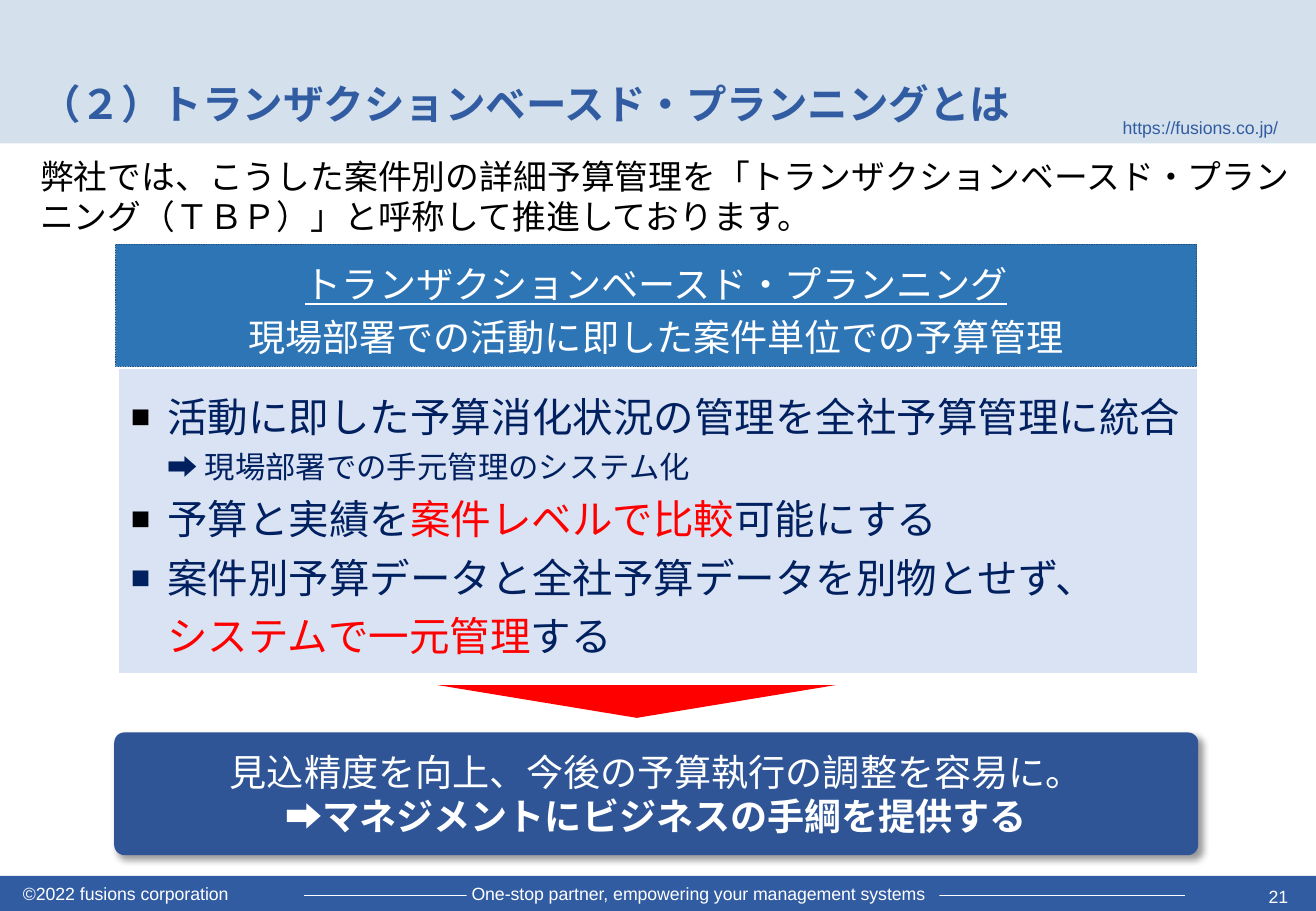
from lxml.etree import SubElement
from pptx import Presentation
from pptx.dml.color import RGBColor
from pptx.enum.dml import MSO_LINE
from pptx.enum.shapes import MSO_CONNECTOR, MSO_SHAPE
from pptx.enum.text import MSO_ANCHOR, MSO_AUTO_SIZE, PP_ALIGN
from pptx.oxml.ns import qn
from pptx.util import Pt

EMU_PER_PX = 9144  # 100 px to the inch

WHITE = RGBColor(0xFF, 0xFF, 0xFF)
BLACK = RGBColor(0x00, 0x00, 0x00)
RED = RGBColor(0xFF, 0x00, 0x00)
NAVY = RGBColor(0x00, 0x20, 0x60)
BRAND_BLUE = RGBColor(0x32, 0x5C, 0xA2)
PALE_BAND = RGBColor(0xD4, 0xE1, 0xEC)
HEADING_BLUE = RGBColor(0x2E, 0x75, 0xB6)
HEADING_EDGE = RGBColor(0x1F, 0x4E, 0x79)
PALE_PANEL = RGBColor(0xDA, 0xE3, 0xF3)
RESULT_BLUE = RGBColor(0x2F, 0x55, 0x97)

JAPANESE = "Noto Sans CJK JP"
INSETS = (10, 5, 10, 5)


def px(length):
    return length * EMU_PER_PX


class SlideBuilder:
    def __init__(self, width, height):
        self.deck = Presentation()
        self.deck.slide_width, self.deck.slide_height = px(width), px(height)
        self.slide = self.deck.slides.add_slide(self.deck.slide_layouts[1])

    def shape(self, kind, box, fill, corner=None):
        shape = self.slide.shapes.add_shape(kind, *map(px, box))
        shape.shadow.inherit = False
        shape.fill.solid()
        shape.fill.fore_color.rgb = fill
        shape.line.fill.background()
        if corner is not None:
            shape.adjustments[0] = corner
        return shape

    def rule(self, x1, y1, x2, y2, color, width):
        line = self.slide.shapes.add_connector(
            MSO_CONNECTOR.STRAIGHT, *map(px, (x1, y1, x2, y2)))
        line.line.color.rgb = color
        line.line.width = Pt(width)
        SubElement(line.element.spPr, qn("a:effectLst"))

    def frame(self, shape, anchor=MSO_ANCHOR.TOP, insets=INSETS, wrap=True):
        frame = shape.text_frame
        frame.auto_size = MSO_AUTO_SIZE.NONE
        frame.word_wrap = wrap
        frame.vertical_anchor = anchor
        (frame.margin_left, frame.margin_top,
         frame.margin_right, frame.margin_bottom) = map(px, insets)
        return frame

    def paragraph(self, frame, runs, align=PP_ALIGN.LEFT, spacing=None,
                  bullet=None):
        """Each run is (text, size, color, font, options)."""
        first = frame.paragraphs[0]
        paragraph = frame.add_paragraph() if first.runs else first
        paragraph.alignment = align
        paragraph.space_before = Pt(0)
        if spacing:
            paragraph.line_spacing = spacing
        if bullet:
            self.bullet(paragraph, bullet)
        for text, size, color, font, *options in runs:
            for index, part in enumerate(text.split("\n")):
                if index:
                    paragraph.add_line_break()
                if part:
                    run = paragraph.add_run()
                    run.text = part
                    run.font.size = Pt(size)
                    run.font.name = font
                    run.font.color.rgb = color
                    run.font.bold = "bold" in options
                    run.font.underline = "underline" in options
                    latin = run.font._element.find(qn("a:latin"))
                    east_asian = latin.makeelement(
                        qn("a:ea"), {"typeface": font})
                    latin.addnext(east_asian)

    def bullet(self, paragraph, color):
        props = paragraph._p.get_or_add_pPr()
        props.set("marL", str(px(30)))
        props.set("indent", str(px(-30)))
        tint = SubElement(props, qn("a:buClr"))
        SubElement(tint, qn("a:srgbClr"), val=str(color))
        SubElement(props, qn("a:buSzPct"), val="80000")
        SubElement(props, qn("a:buFont"), typeface="Arial")
        SubElement(props, qn("a:buChar"), char="■")

    def label(self, box, text, color, align=PP_ALIGN.LEFT,
              anchor=MSO_ANCHOR.TOP, insets=INSETS, wrap=False):
        area = self.slide.shapes.add_textbox(*map(px, box))
        frame = self.frame(area, anchor, insets, wrap)
        self.paragraph(frame, [(text, 10.5, color, "Arial")], align)

    def placeholder(self, index, box, anchor, run):
        holder = self.slide.placeholders[index]
        holder.left, holder.top, holder.width, holder.height = map(px, box)
        self.slide.shapes._spTree.append(holder.element)  # above the bands
        frame = self.frame(holder, anchor)
        self.paragraph(frame, [run])
        props = frame.paragraphs[0]._p.get_or_add_pPr()
        props.set("marL", "0")
        props.set("indent", "0")
        SubElement(props, qn("a:buNone"))

    def drop_shadow(self, shape):
        effects = shape.element.spPr.find(qn("a:effectLst"))
        shadow = SubElement(
            effects, qn("a:outerShdw"), blurRad=str(Pt(4)), dist=str(Pt(3)),
            dir="2700000", algn="tl", rotWithShape="0")
        color = SubElement(shadow, qn("a:srgbClr"), val=str(BLACK))
        SubElement(color, qn("a:alpha"), val="40000")


def main():
    page = SlideBuilder(1083, 750)

    # Header and footer bands
    page.shape(MSO_SHAPE.RECTANGLE, (0, 721, 1083, 29), BRAND_BLUE)
    page.shape(MSO_SHAPE.RECTANGLE, (0, 0, 1083, 118), PALE_BAND)
    page.rule(250, 737, 975, 737, WHITE, 0.5)
    page.label((921, 96, 134, 18), "https://fusions.co.jp/", BRAND_BLUE,
               PP_ALIGN.CENTER, MSO_ANCHOR.BOTTOM, (0, 0, 0, 0))
    slogan = page.shape(MSO_SHAPE.RECTANGLE, (384, 723, 389, 22), BRAND_BLUE)
    page.paragraph(
        page.frame(slogan, insets=(4, 4, 4, 0), wrap=False),
        [("One-stop partner, empowering your management systems",
          10.5, WHITE, "Arial")])
    page.label((9, 722, 199, 28), "©2022 fusions corporation", WHITE)
    page.label((991, 724, 79, 29), "21", WHITE, PP_ALIGN.RIGHT, wrap=True)

    # Title and introduction
    page.placeholder(
        0, (23, 2, 873, 108), MSO_ANCHOR.BOTTOM,
        ("（２）トランザクションベースド・プランニングとは",
         24, BRAND_BLUE, "Montserrat", "bold"))
    page.placeholder(
        1, (23, 123, 1054, 598), MSO_ANCHOR.TOP,
        ("弊社では、こうした案件別の詳細予算管理を「トランザクションベースド・"
         "プランニング（ＴＢＰ）」と呼称して推進しております。",
         20, BLACK, JAPANESE))

    # Definition heading
    definition = page.shape(
        MSO_SHAPE.RECTANGLE, (95, 201, 890, 101), HEADING_BLUE)
    definition.line.color.rgb = HEADING_EDGE
    definition.line.width = Pt(0.75)
    definition.line.dash_style = MSO_LINE.ROUND_DOT
    frame = page.frame(definition, MSO_ANCHOR.MIDDLE, (8, 4, 8, 4))
    for run in (
        ("トランザクションベースド・プランニング",
         22, WHITE, JAPANESE, "underline"),
        ("現場部署での活動に即した案件単位での予算管理", 22, WHITE, JAPANESE),
    ):
        page.paragraph(frame, [run], PP_ALIGN.CENTER, 1.2)

    # Key points
    points = page.shape(
        MSO_SHAPE.ROUNDED_RECTANGLE, (98, 304, 887, 250), PALE_PANEL, 0)
    frame = page.frame(points, MSO_ANCHOR.MIDDLE, (10, 12, 10, 12))
    for bullet, runs in (
        (BLACK, [("活動に即した予算消化状況の管理を全社予算管理に統合", 24, NAVY),
                 ("➡ 現場部署での手元管理のシステム化", 18, NAVY)]),
        (BLACK, [("予算と実績を", 24, NAVY),
                 ("案件レベルで比較", 24, RED),
                 ("可能にする", 24, NAVY)]),
        (NAVY, [("案件別予算データと全社予算データを別物とせず、\n", 24, NAVY),
                ("システムで一元管理", 24, RED),
                ("する", 24, NAVY)]),
    ):
        page.paragraph(frame, [(*run, JAPANESE) for run in runs],
                       spacing=1.2, bullet=bullet)

    # Result and the arrow leading to it
    result = page.shape(
        MSO_SHAPE.ROUNDED_RECTANGLE, (94, 603, 892, 101), RESULT_BLUE, 0.083)
    page.drop_shadow(result)
    frame = page.frame(result, MSO_ANCHOR.MIDDLE)
    for run in (
        ("見込精度を向上、今後の予算執行の調整を容易に。", 22, WHITE, JAPANESE),
        ("➡マネジメントにビジネスの手綱を提供する",
         22, WHITE, JAPANESE, "bold"),
    ):
        page.paragraph(frame, [run], PP_ALIGN.CENTER)
    page.shape(MSO_SHAPE.FLOWCHART_MERGE, (360, 564, 328, 27), RED)

    page.deck.save("out.pptx")


if __name__ == "__main__":
    main()
